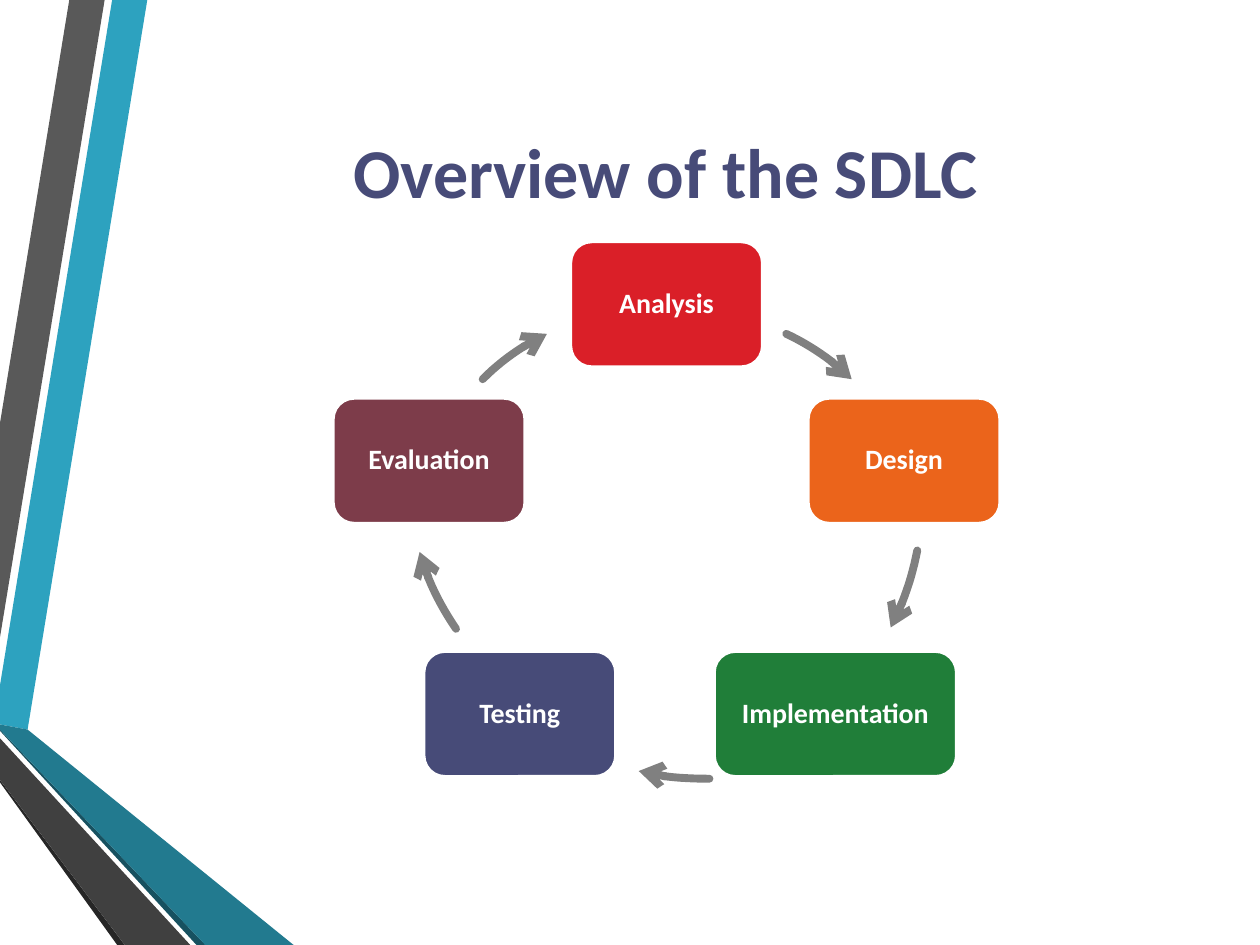
import math

from lxml import etree
from pptx import Presentation
from pptx.dml.color import RGBColor
from pptx.enum import shapes, text
from pptx.oxml import ns
from pptx.util import Pt

WHITE = RGBColor(0xFF, 0xFF, 0xFF)
GRAY = RGBColor(0x80, 0x80, 0x80)
INDIGO = RGBColor(0x47, 0x4B, 0x78)
RED = RGBColor(0xDA, 0x1F, 0x28)
ORANGE = RGBColor(0xEB, 0x64, 0x1B)
GREEN = RGBColor(0x20, 0x7E, 0x39)
PLUM = RGBColor(0x7D, 0x3C, 0x4A)
TEAL = RGBColor(0x2D, 0xA2, 0xBF)
TEAL_MID = RGBColor(0x22, 0x7A, 0x8F)
TEAL_DARK = RGBColor(0x17, 0x51, 0x60)
GRAY_LIGHT = RGBColor(0x59, 0x59, 0x59)
GRAY_MID = RGBColor(0x40, 0x40, 0x40)
GRAY_DARK = RGBColor(0x26, 0x26, 0x26)

FONT = "Calibri"
CENTER_X, CENTER_Y = 380.9, 303.3
RADIUS_X, RADIUS_Y = 142.7, 129.4
BOX_W, BOX_H = 109.4, 71.3

RIBBONS = [
    (TEAL, [(0, 391.7), (0, 414), (15.8, 416.9), (84.2, 0), (64.1, 0)]),
    (GRAY_LIGHT, [(59.8, 0), (39.6, 0), (0, 241.9), (0, 364.3)]),
    (GRAY_DARK, [(0, 445.7), (0, 447.1), (67, 540), (71.3, 540)]),
    (TEAL_DARK, [(0, 416.9), (0, 417.6), (112.3, 540), (117.4, 540)]),
    (TEAL_MID, [(0, 416.9), (117.4, 540), (167.8, 540), (15.8, 416.9), (0, 414)]),
    (GRAY_MID, [(0, 445.7), (71.3, 540), (108.7, 540), (0, 421.9)]),
]

STEPS = [
    ("Analysis", RED, BOX_W, 0),
    ("Design", ORANGE, BOX_W, 0),
    ("Implementation", GREEN, 138.2, 12.6),
    ("Testing", INDIGO, BOX_W, 0),
    ("Evaluation", PLUM, BOX_W, 0),
]

ARROWS = [
    [(449.3, 190.8), (463, 197.3), (475.9, 205.9), (486.7, 216.7)],
    [(524.2, 314.6), (521.3, 329.8), (516.2, 344.9), (509, 358.6)],
    [(405.4, 445), (391.7, 445), (378, 444.2), (365, 440.6)],
    [(260.6, 359.3), (251.3, 345.6), (244.1, 331.2), (239.8, 315.4)],
    [(275.8, 216.7), (286.6, 205.9), (298.8, 197.3), (312.5, 190.8)],
]


def add_run(p, words, size, color):
    r = p.add_run()
    r.text = words
    r.font.name = FONT
    r.font.size = Pt(size)
    r.font.bold = True
    r.font.color.rgb = color


def add_outline(s, points, close):
    pts = [(Pt(x), Pt(y)) for x, y in points]
    fb = s.shapes.build_freeform(*pts[0], scale=1.0)
    fb.add_line_segments(pts[1:], close=close)
    sp = fb.convert_to_shape()
    sp.shadow.inherit = False
    return sp


def add_ribbon(s, color, points):
    sp = add_outline(s, points, True)
    sp.fill.solid()
    sp.fill.fore_color.rgb = color
    sp.line.fill.background()


def curve_point(curve, t):
    weights = [math.comb(3, i) * t ** i * (1 - t) ** (3 - i) for i in range(4)]
    return tuple(sum(w * pt[axis] for w, pt in zip(weights, curve)) for axis in (0, 1))


def add_arrow(s, curve, steps=12):
    sp = add_outline(s, [curve_point(curve, i / steps) for i in range(steps + 1)], False)
    sp.fill.background()
    sp.line.color.rgb = GRAY
    sp.line.width = Pt(4.5)
    ln = sp.line._get_or_add_ln()
    ln.set("cap", "rnd")
    etree.SubElement(ln, ns.qn("a:round"))
    etree.SubElement(ln, ns.qn("a:tailEnd"), type="arrow")


def add_step(s, index, label, color, width, shift):
    angle = math.radians(72 * index)
    x = CENTER_X + RADIUS_X * math.sin(angle) + shift
    y = CENTER_Y - RADIUS_Y * math.cos(angle)
    sp = s.shapes.add_shape(shapes.MSO_SHAPE.ROUNDED_RECTANGLE,
                            Pt(x - width / 2), Pt(y - BOX_H / 2), Pt(width), Pt(BOX_H))
    sp.shadow.inherit = False
    sp.fill.solid()
    sp.fill.fore_color.rgb = color
    sp.line.color.rgb = WHITE
    sp.line.width = Pt(1.5)
    tf = sp.text_frame
    tf.word_wrap = True
    tf.vertical_anchor = text.MSO_ANCHOR.MIDDLE
    tf.margin_left = tf.margin_right = tf.margin_top = tf.margin_bottom = Pt(5)
    p = tf.paragraphs[0]
    p.alignment = text.PP_ALIGN.CENTER
    p.line_spacing = 0.9
    add_run(p, label, 16, WHITE)


def set_title(s, words):
    sp = s.shapes.title
    sp.left, sp.top, sp.width, sp.height = Pt(77), Pt(36), Pt(607), Pt(123)
    tf = sp.text_frame
    tf.word_wrap = True
    tf.vertical_anchor = text.MSO_ANCHOR.MIDDLE
    p = tf.paragraphs[0]
    p.alignment = text.PP_ALIGN.CENTER
    add_run(p, words, 40, INDIGO)


def main():
    prs = Presentation()
    prs.slide_width, prs.slide_height = Pt(720), Pt(540)
    s = prs.slides.add_slide(prs.slide_layouts[5])
    for color, points in RIBBONS:
        add_ribbon(s, color, points)
    set_title(s, "Overview of the SDLC")
    for index, (step, curve) in enumerate(zip(STEPS, ARROWS)):
        add_step(s, index, *step)
        add_arrow(s, curve)
    prs.save("out.pptx")


main()
